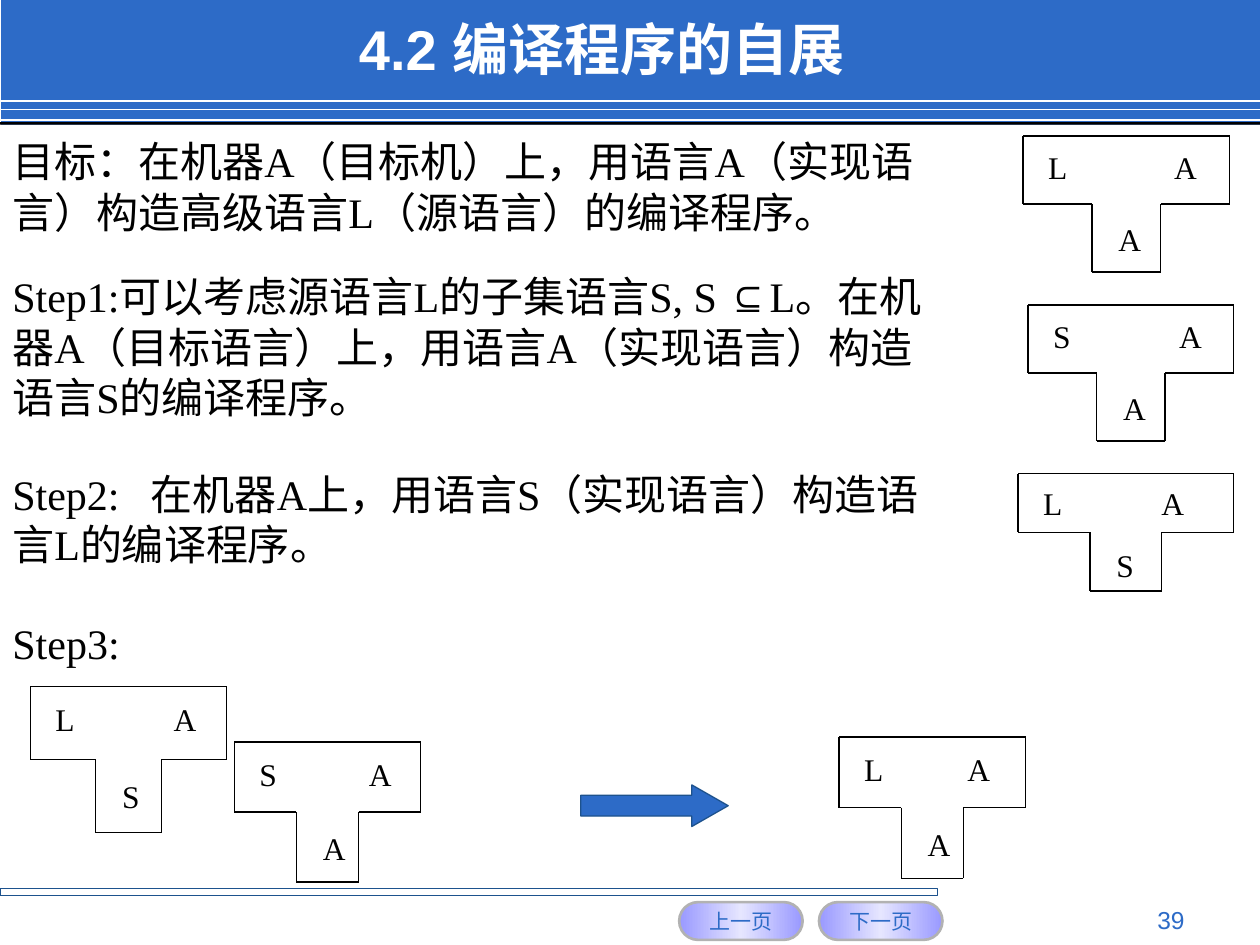
from lxml import etree
from pptx import Presentation
from pptx.dml.color import RGBColor
from pptx.enum.shapes import MSO_CONNECTOR, MSO_SHAPE
from pptx.enum.text import MSO_ANCHOR, PP_ALIGN
from pptx.oxml.ns import qn
from pptx.util import Inches, Pt

RECTANGLE, PILL, ARROW = MSO_SHAPE.RECTANGLE, MSO_SHAPE.ROUNDED_RECTANGLE, MSO_SHAPE.RIGHT_ARROW
STRAIGHT = MSO_CONNECTOR.STRAIGHT
LEFT, CENTER, RIGHT = PP_ALIGN.LEFT, PP_ALIGN.CENTER, PP_ALIGN.RIGHT
TOP, MIDDLE = MSO_ANCHOR.TOP, MSO_ANCHOR.MIDDLE

THEME = {
    "blue": "2D6BC7", "dark_blue": "1D528D", "black": "000000", "white": "FFFFFF",
    "button_line": "B2B2B2", "button_stops": [(0, "9999FF"), (50, "E6E6FF"), (100, "9999FF")],
    "sans": "Arial", "serif": "Times New Roman",
    "title": 32, "body": 24, "label": 18, "number": 14, "button": 12,
}

TITLE = "4.2 编译程序的自展"
PAGE_NUMBER = "39"
BUTTONS = [("上一页", 5.39), ("下一页", 6.5)]
HEADER_RULES = [0.8, 0.87, 0.95]

# (left, top, width, height), runs of (text, font), tab stop
PARAGRAPHS = [
    ((0, 1.03, 7.99, 0.9),
     [("目标：在机器A（目标机）上，用语言A（实现语言）构造高级语言L（源语言）的编译程序。", "serif")], None),
    ((0, 2.1, 7.6, 1.3),
     [("Step1:可以考虑源语言L的子集语言S, S ", "serif"), ("⊆", "sans"),
      ("L。在机器A（目标语言）上，用语言A（实现语言）构造语言S的编译程序。", "serif")], None),
    ((0, 3.67, 7.6, 0.9),
     [("Step2:\t在机器A上，用语言S（实现语言）构造语言L的编译程序。", "serif")], 1.1),
    ((0, 4.85, 1.05, 0.5), [("Step3:", "serif")], None),
]

# (source, target, implementation language), (left, top, width, height), tab stop
T_DIAGRAMS = [
    (("L", "A", "A"), (8.12, 1.08, 1.64, 1.08), 1.0),
    (("S", "A", "A"), (8.16, 2.42, 1.63, 1.08), 1.0),
    (("L", "A", "S"), (8.08, 3.76, 1.71, 0.93), 0.94),
    (("L", "A", "S"), (0.24, 5.45, 1.56, 1.16), 0.94),
    (("S", "A", "A"), (1.86, 5.89, 1.48, 1.11), 0.87),
    (("L", "A", "A"), (6.66, 5.85, 1.48, 1.12), 0.82),
]
# Corners of a T, in thirds of its width and halves of its height
T_CORNERS = [(0, 0), (0, 1), (1, 1), (1, 2), (2, 2), (2, 1), (3, 1), (3, 0)]


def color(name):
    return RGBColor.from_string(THEME[name])


def write_text(shape, runs, size, font="serif", ink="black", bold=False, align=LEFT,
               anchor=TOP, insets=(0.1, 0.05), wrap=True, tab=None):
    """Fill a shape with one paragraph; runs is a string or (text, font) pairs."""
    frame = shape.text_frame
    frame.word_wrap = wrap
    frame.vertical_anchor = anchor
    frame.margin_left = frame.margin_right = Inches(insets[0])
    frame.margin_top = frame.margin_bottom = Inches(insets[1])
    paragraph = frame.paragraphs[0]
    paragraph.alignment = align
    if tab is not None:
        tabs = etree.SubElement(paragraph._p.get_or_add_pPr(), qn("a:tabLst"))
        etree.SubElement(tabs, qn("a:tab"), pos=str(Inches(tab)), algn="l")
    for text, run_font in [(runs, font)] if isinstance(runs, str) else runs:
        run = paragraph.add_run()
        run.text = text
        run.font.name = THEME[run_font]
        run.font.size = Pt(THEME[size])
        run.font.bold = bold
        run.font.color.rgb = color(ink)


def add_text(shapes, box, runs, size, **text_format):
    write_text(shapes.add_textbox(*map(Inches, box)), runs, size, **text_format)


def add_shape(shapes, kind, box, fill=None, line=None, width=0.75):
    shape = shapes.add_shape(kind, *map(Inches, box))
    shape.shadow.inherit = False
    if fill:
        shape.fill.solid()
        shape.fill.fore_color.rgb = color(fill)
    else:
        shape.fill.background()
    if line:
        shape.line.color.rgb = color(line)
        shape.line.width = Pt(width)
    else:
        shape.line.fill.background()
    return shape


def add_line(shapes, start, end, ink, width):
    line = shapes.add_connector(STRAIGHT, *map(Inches, (*start, *end)))
    line.line.color.rgb = color(ink)
    line.line.width = Pt(width)
    etree.SubElement(line._element.spPr, qn("a:effectLst"))


def add_button(shapes, text, left):
    button = add_shape(shapes, PILL, (left, 7.16, 0.98, 0.3), line="button_line", width=1.5)
    button.adjustments[0] = 0.5
    button.fill.gradient()
    button.fill.gradient_angle = 0
    stops = button._element.spPr.find(".//" + qn("a:gsLst"))
    for stop in list(stops):
        stops.remove(stop)
    for percent, value in THEME["button_stops"]:
        stop = etree.SubElement(stops, qn("a:gs"), pos=str(percent * 1000))
        etree.SubElement(stop, qn("a:srgbClr"), val=value)
    write_text(button, text, "button", font="sans", ink="blue", align=CENTER,
               anchor=MIDDLE, wrap=False)


def add_t_diagram(shapes, languages, box, tab):
    """Group the eight sides of a T with the languages in its arms and stem."""
    source, target, implementation = languages
    left, top, width, height = box
    third, half = width / 3, height / 2
    points = [(left + x * third, top + y * half) for x, y in T_CORNERS]
    group = shapes.add_group_shape().shapes
    for start, end in zip(points, points[1:] + points[:1]):
        add_line(group, start, end, "black", 0.75)
    label_height = height / 3
    add_text(group, (left + 0.1, top + height * 0.09, width - 0.17, label_height),
             f"{source}\t{target}", "label", insets=(0.1, 0), tab=tab)
    add_text(group, (left + third + 0.09, top + height * 0.62, third - 0.18, label_height),
             implementation, "label", insets=(0.12, 0), wrap=False)


def main():
    presentation = Presentation()
    presentation.slide_width, presentation.slide_height = Inches(10), Inches(7.5)
    shapes = presentation.slides.add_slide(presentation.slide_layouts[6]).shapes

    add_shape(shapes, RECTANGLE, (0.01, 0, 9.99, 0.99), fill="blue")
    for y in HEADER_RULES:
        add_line(shapes, (0, y), (10, y), "white", 1)
    add_shape(shapes, RECTANGLE, (0, 0.97, 10, 0.02), fill="black")
    add_shape(shapes, RECTANGLE, (0, 7.05, 7.44, 0.06), line="dark_blue")
    for text, left in BUTTONS:
        add_button(shapes, text, left)
    add_text(shapes, (7.17, 7.13, 2.33, 0.27), PAGE_NUMBER, "number",
             font="sans", ink="blue", align=RIGHT)
    add_text(shapes, (2.75, 0.09, 6.92, 0.58), TITLE, "title",
             font="sans", ink="white", bold=True, anchor=MIDDLE)

    for box, runs, tab in PARAGRAPHS:
        add_text(shapes, box, runs, "body", tab=tab, wrap=box[2] > 2)
    for languages, box, tab in T_DIAGRAMS:
        add_t_diagram(shapes, languages, box, tab)
    arrow = add_shape(shapes, ARROW, (4.61, 6.23, 1.17, 0.33), fill="blue", line="dark_blue")
    arrow.adjustments[1] = 0.875

    presentation.save("out.pptx")


if __name__ == "__main__":
    main()
